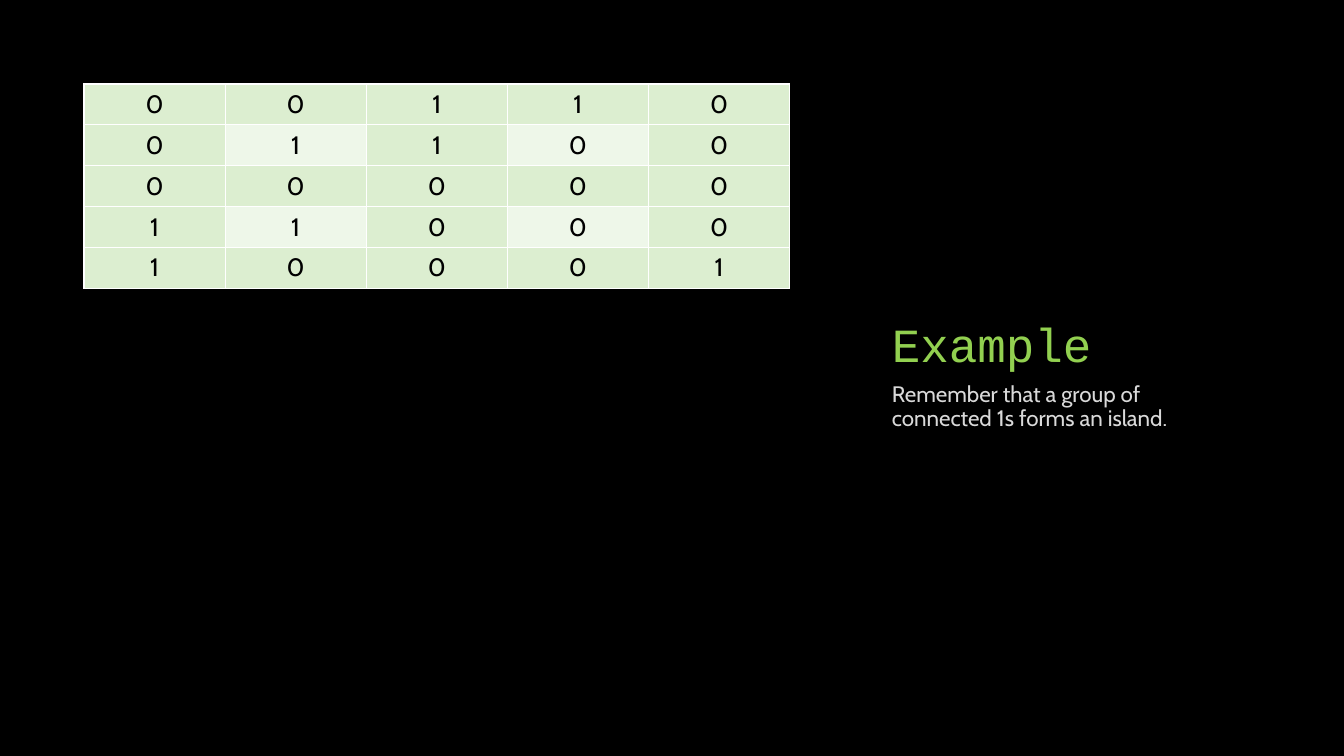
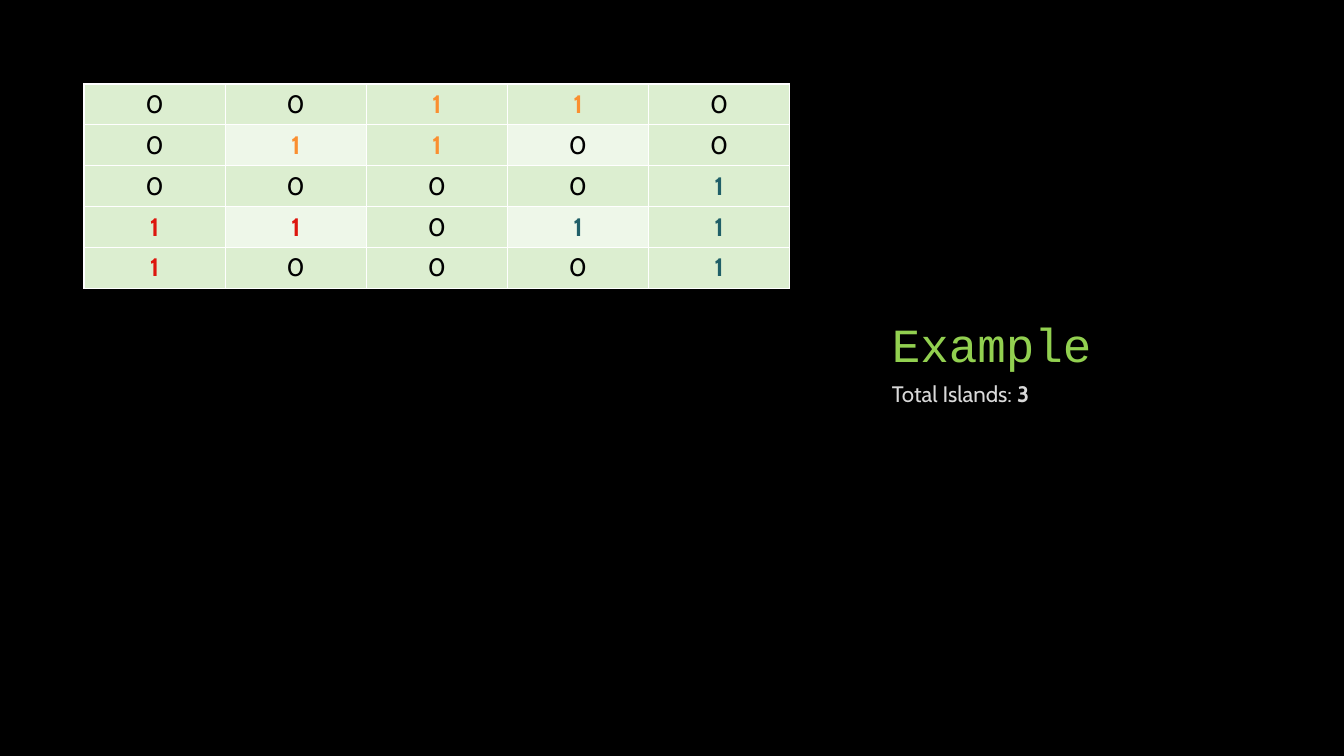
import pptx
import pptx.util
import pptx.dml.color
import pptx.enum.text
import pptx.oxml

Pt = pptx.util.Pt
RGBColor = pptx.dml.color.RGBColor
ALIGN = pptx.enum.text.PP_ALIGN
ANCHOR = pptx.enum.text.MSO_ANCHOR

BLACK = RGBColor(0x00, 0x00, 0x00)
LIME = RGBColor(0x92, 0xD0, 0x50)
GREY = RGBColor(0xD9, 0xD9, 0xD9)
GREEN = RGBColor(0xDC, 0xEE, 0xD0)
PALE_GREEN = RGBColor(0xEE, 0xF7, 0xE9)
ORANGE = RGBColor(0xFA, 0x8F, 0x30)
TEAL = RGBColor(0x20, 0x5F, 0x68)
RED = RGBColor(0xDD, 0x16, 0x0E)

TITLE_FONT, BODY_FONT = "Courier New", "Cabin"
COL_W, ROW_H = 100.8, 29.2
BORDER = ('<a:{side} xmlns:a="http://schemas.openxmlformats.org/drawingml/2006/main" w="12700">'
          '<a:solidFill><a:srgbClr val="FFFFFF"/></a:solidFill></a:{side}>')

# Letters stand for the 1s of a highlighted island
ISLANDS = {"O": ORANGE, "T": TEAL, "R": RED}

# Each slide: grid rows, then caption runs as (text, bold)
SLIDES = [
    (["00110", "01100", "00000", "11000", "10001"],
     [("Remember that a group of connected 1s forms an island.", False)]),
    (["00OO0", "0OO00", "0000T", "RR0TT", "R000T"],
     [("Total Islands: ", False), ("3", True)]),
]


def add_text(s, top, runs, font, size, color, anchor):
    tf = s.shapes.add_textbox(Pt(630), Pt(top), Pt(246), Pt(144)).text_frame
    tf.word_wrap = True
    tf.vertical_anchor = anchor
    p = tf.paragraphs[0]
    p.line_spacing = 0.9
    p.font.name, p.font.size = font, Pt(size)
    p.font.color.rgb = color
    for text, bold in runs:
        r = p.add_run()
        r.text = text
        if bold:
            r.font.bold = True


def fill_cell(cell, mark, fill):
    cell.vertical_anchor = ANCHOR.MIDDLE
    cell.margin_left = cell.margin_right = Pt(5.4)
    cell.margin_top = cell.margin_bottom = Pt(3.6)
    tcPr = cell._tc.get_or_add_tcPr()
    for side in ("lnL", "lnR", "lnT", "lnB"):
        tcPr.append(pptx.oxml.parse_xml(BORDER.format(side=side)))
    cell.fill.solid()
    cell.fill.fore_color.rgb = fill
    p = cell.text_frame.paragraphs[0]
    p.alignment = ALIGN.CENTER
    p.font.name, p.font.size = BODY_FONT, Pt(18)
    p.font.bold = mark in ISLANDS
    p.font.color.rgb = ISLANDS.get(mark, BLACK)
    p.add_run().text = "1" if mark in ISLANDS else mark


prs = pptx.Presentation()
prs.slide_width, prs.slide_height = Pt(960), Pt(540)

# Shared black background on the master
background = prs.slide_master.background.fill
background.solid()
background.fore_color.rgb = BLACK

for grid, caption in SLIDES:
    s = prs.slides.add_slide(prs.slide_layouts[6])

    # Title
    add_text(s, 126, [("Example", False)], TITLE_FONT, 34, LIME, ANCHOR.BOTTOM)

    # Grid of land and water
    n_rows, n_cols = len(grid), len(grid[0])
    table = s.shapes.add_table(n_rows, n_cols, Pt(60), Pt(60),
                               Pt(n_cols * COL_W), Pt(n_rows * ROW_H)).table
    table.first_row = table.horz_banding = False
    for col in table.columns:
        col.width = Pt(COL_W)
    for i, marks in enumerate(grid):
        table.rows[i].height = Pt(ROW_H)
        for j, mark in enumerate(marks):
            fill_cell(table.cell(i, j), mark, PALE_GREEN if i % 2 and j % 2 else GREEN)

    # Caption
    add_text(s, 270, caption, BODY_FONT, 16, GREY, ANCHOR.TOP)

prs.save("out.pptx")
